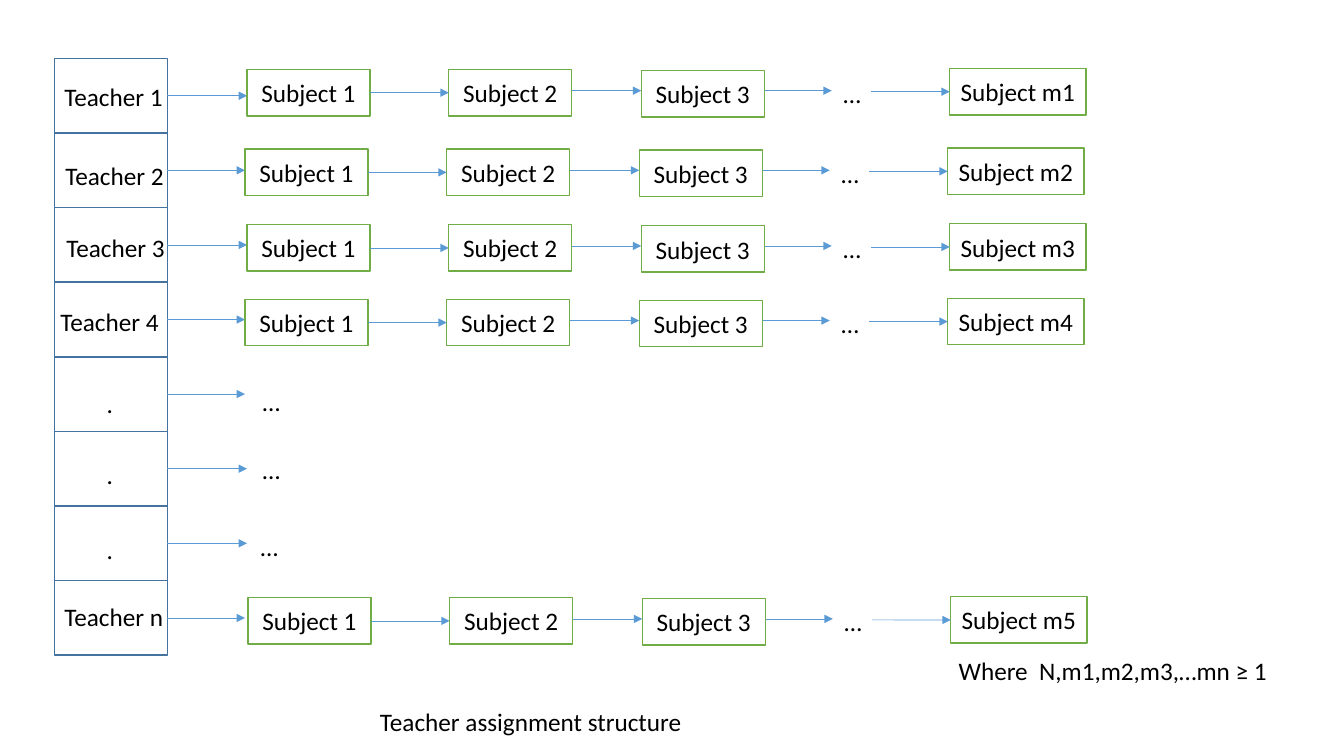
from pptx import Presentation
from pptx import util as u
from pptx.dml.color import RGBColor
from pptx.enum import shapes, text
from pptx.oxml.ns import qn
from lxml import etree

INK, BLUE, NAVY, GREEN, WHITE = "000000", "5B9BD5", "43739E", "70AD47", "FFFFFF"
CELL_W, CELL_H = 1.12, 0.74
SUBJECT_W, SUBJECT_H = 1.22, 0.46

# label, label left, label top, arrow tip x
TEACHERS = [
    ("Teacher 1", 0.54, 0.76, 2.45),
    ("Teacher 2", 0.55, 1.54, 2.43),
    ("Teacher 3", 0.56, 2.26, 2.45),
    ("Teacher 4", 0.5, 2.99, 2.43),
    (".", 0.96, 3.8, 2.43),
    (".", 0.96, 4.51, 2.45),
    (".", 0.96, 5.25, 2.45),
    ("Teacher n", 0.54, 5.92, 2.43),
]
# left, top, last subject
CHAINS = [
    (2.45, 0.69, "Subject m1"),
    (2.43, 1.48, "Subject m2"),
    (2.45, 2.23, "Subject m3"),
    (2.43, 2.97, "Subject m4"),
    (2.46, 5.93, "Subject m5"),
]
OPEN_ROWS = [(2.45, 3.78), (2.45, 4.46), (2.43, 5.22)]


def rgb(hex_color):
    return RGBColor.from_string(hex_color)


def style_text(tf, value):
    tf.text = value
    font = tf.paragraphs[0].runs[0].font
    font.name, font.size = "Calibri", u.Pt(18)
    font.color.rgb = rgb(INK)


def add_box(s, x, y, w, h, line):
    sp = s.shapes.add_shape(shapes.MSO_SHAPE.RECTANGLE, u.Inches(x), u.Inches(y),
                            u.Inches(w), u.Inches(h))
    sp.shadow.inherit = False
    sp.fill.background()
    sp.line.color.rgb = rgb(line)
    sp.line.width = u.Pt(1)
    return sp


def add_subject(s, x, y, w, value):
    sp = add_box(s, x, y, w, SUBJECT_H, GREEN)
    sp.fill.solid()
    sp.fill.fore_color.rgb = rgb(WHITE)
    tf = sp.text_frame
    style_text(tf, value)
    tf.vertical_anchor = text.MSO_ANCHOR.MIDDLE
    tf.paragraphs[0].alignment = text.PP_ALIGN.CENTER
    return sp


def add_label(s, x, y, w, value, wrap=False):
    tf = s.shapes.add_textbox(u.Inches(x), u.Inches(y), u.Inches(w), u.Inches(0.4)).text_frame
    style_text(tf, value)
    tf.word_wrap = wrap
    tf.auto_size = text.MSO_AUTO_SIZE.SHAPE_TO_FIT_TEXT


def add_arrow(s, x1, x2, y):
    cxn = s.shapes.add_connector(shapes.MSO_CONNECTOR.STRAIGHT, u.Inches(x1), u.Inches(y),
                                 u.Inches(x2), u.Inches(y))
    cxn.line.color.rgb = rgb(BLUE)
    cxn.line.width = u.Pt(0.5)
    etree.SubElement(cxn.line._get_or_add_ln(), qn("a:tailEnd"), type="triangle")
    etree.SubElement(cxn._element.spPr, qn("a:effectLst"))
    return cxn


def add_teacher_column(s, x, y):
    """Stack the teacher cells, each with an arrow leaving its right side."""
    for i, (name, label_x, label_y, tip) in enumerate(TEACHERS):
        top = y + i * CELL_H
        cell = add_box(s, x, top, CELL_W, CELL_H, NAVY)
        arrow = add_arrow(s, x + CELL_W, tip, top + CELL_H / 2)
        arrow.begin_connect(cell, 3)
        add_label(s, label_x, label_y, 0.27 if name == "." else 1.19, name)


def add_subject_chain(s, x, y, last):
    """Link Subject 1 to 3, an ellipsis and the last subject from left to right."""
    for start, end in ((3.12, 3.91), (5.01, 5.8)):
        add_arrow(s, x + start, x + end, y + 0.21)
    first = add_subject(s, x, y, SUBJECT_W, "Subject 1")
    second = add_subject(s, x + 2, y, SUBJECT_W, "Subject 2")
    add_subject(s, x + 3.91, y + 0.01, SUBJECT_W, "Subject 3")
    final = add_subject(s, x + 6.97, y - 0.01, 1.35, last)
    link = add_arrow(s, x + SUBJECT_W, x + 2, y + SUBJECT_H / 2)
    link.begin_connect(first, 3)
    link.end_connect(second, 1)
    add_arrow(s, x + 6.19, x + 6.97, y + 0.22).end_connect(final, 1)
    add_label(s, x + 5.76, y + 0.04, 0.55, " …")


def main():
    prs = Presentation()
    prs.slide_width, prs.slide_height = u.Inches(13.33), u.Inches(7.5)
    s = prs.slides.add_slide(prs.slide_layouts[6])
    add_teacher_column(s, 0.54, 0.58)
    for x, y, last in CHAINS:
        add_subject_chain(s, x, y, last)
    for x, y in OPEN_ROWS:
        add_label(s, x, y, 0.55, " …")
    add_label(s, 9.41, 6.45, 3.84, "Where  N,m1,m2,m3,…mn ≥ 1", wrap=True)
    add_label(s, 3.67, 6.96, 3.22, "Teacher assignment structure")
    prs.save("out.pptx")


if __name__ == "__main__":
    main()
